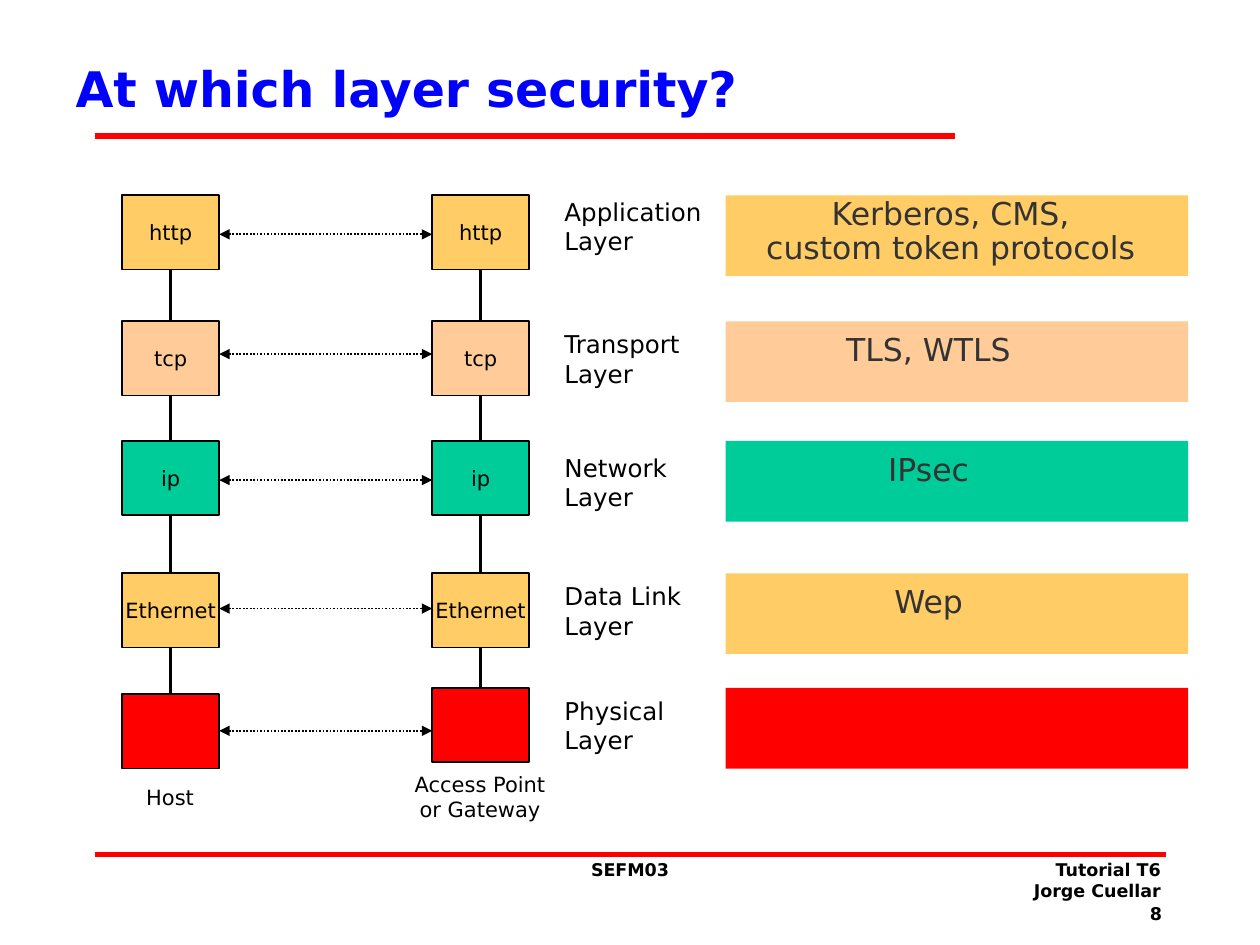
from lxml import etree
from pptx import Presentation
from pptx.dml.color import RGBColor
from pptx.enum import dml, shapes, text
from pptx.oxml import ns
from pptx.util import Inches, Pt

theme = {
    "font": "DejaVu Sans",
    "title": "0000FF", "rule": "FF0000", "ink": "000000", "band ink": "333333",
    "amber": "FFCC66", "peach": "FFCC99", "green": "00CC99", "red": "FF0000",
    "title size": 28, "band size": 18, "label size": 14, "node size": 12, "footer size": 10,
}

deck = Presentation()
deck.slide_width, deck.slide_height = Inches(10), Inches(7.5)
page = deck.slides.add_slide(deck.slide_layouts[5])

# Columns and rows of the diagram, in inches
host_x, gateway_x, label_x, band_x = 0.97, 3.43, 4.44, 5.76
node_width, node_height = 0.77, 0.59
band_width, band_height = 3.67, 0.64
# top, arrow height, colour, protocol, layer, security mechanism
layers = [
    (1.55, 1.86, "amber", "http", "Application", "Kerberos, CMS,\ncustom token protocols"),
    (2.55, 2.81, "peach", "tcp", "Transport", "TLS, WTLS"),
    (3.50, 3.81, "green", "ip", "Network", "IPsec"),
    (4.55, 4.83, "amber", "Ethernet", "Data Link", "Wep"),
    (5.46, 5.80, "red", "", "Physical", ""),
]


def add_box(place, words="", size="node size", ink="ink", fill=None, outline=False,
            align="CENTER", anchor="MIDDLE", margins=(0, 0, 0, 0), bold=False, spacing=None):
    """Add a filled rectangle, or a text box when there is no fill."""
    place = [Inches(length) for length in place]
    if fill:
        box = page.shapes.add_shape(shapes.MSO_SHAPE.RECTANGLE, *place)
        box.shadow.inherit = False
        box.fill.solid()
        box.fill.fore_color.rgb = RGBColor.from_string(theme[fill])
        if outline:
            box.line.color.rgb = RGBColor.from_string(theme["ink"])
            box.line.width = Pt(1)
        else:
            box.line.fill.background()
    else:
        box = page.shapes.add_textbox(*place)
    frame = box.text_frame
    frame.word_wrap = True
    frame.vertical_anchor = text.MSO_ANCHOR[anchor]
    (frame.margin_left, frame.margin_top,
     frame.margin_right, frame.margin_bottom) = [Inches(margin) for margin in margins]
    frame.text = words
    for para in frame.paragraphs:
        para.alignment = text.PP_ALIGN[align]
        if spacing:
            para.line_spacing = spacing
        for span in para.runs:
            span.font.name, span.font.size, span.font.bold = theme["font"], Pt(theme[size]), bold
            span.font.color.rgb = RGBColor.from_string(theme[ink])
    return box


def add_line(start, end, colour, width, dotted_arrow=False):
    """Add a straight line, dotted with two arrowheads if asked."""
    line = page.shapes.add_connector(
        shapes.MSO_CONNECTOR.STRAIGHT, *[Inches(length) for length in (*start, *end)])
    line.line.color.rgb = RGBColor.from_string(theme[colour])
    line.line.width = Pt(width)
    if dotted_arrow:
        line.line.dash_style = dml.MSO_LINE.ROUND_DOT
        for tip in ("a:headEnd", "a:tailEnd"):
            etree.SubElement(line.line._get_or_add_ln(), ns.qn(tip), type="triangle")
    etree.SubElement(line._element.spPr, ns.qn("a:effectLst"))


# Title
title = page.shapes.title
title.left, title.top, title.width, title.height = [Inches(n) for n in (0.5, 0.11, 9, 1.17)]
title.text_frame.text = "At which layer security?"
title.text_frame.vertical_anchor = text.MSO_ANCHOR.MIDDLE
heading = title.text_frame.paragraphs[0]
heading.alignment = text.PP_ALIGN.LEFT
heading.font.name, heading.font.size, heading.font.bold = theme["font"], Pt(theme["title size"]), True
heading.font.color.rgb = RGBColor.from_string(theme["title"])

# Rules and footer
add_line((0.75, 1.08), (7.58, 1.08), "rule", 3)
add_line((0.75, 6.78), (9.25, 6.78), "rule", 3)
for place, words, align in [
    ((3.96, 6.77, 2.08, 0.5), "SEFM03", "CENTER"),
    ((7.23, 6.77, 2.08, 0.5), "Tutorial T6\nJorge Cuellar", "RIGHT"),
    ((8.52, 7.12, 0.8, 0.25), "8", "RIGHT"),
]:
    add_box(place, words, "footer size", align=align, anchor="TOP",
            margins=(0.1, 0.05, 0.1, 0.05), bold=True)

# Vertical link and caption of each protocol stack
for left, caption in [(host_x, "Host"), (gateway_x, "Access Point\nor Gateway")]:
    centre = left + node_width / 2
    add_line((centre, 1.62), (centre, 6.05), "ink", 2)
    add_box((centre - 0.61, 6.06, 1.21, 0.53), caption)

# One row per layer: two nodes, arrow, label, security band
for top, arrow_y, colour, protocol, layer, security in layers:
    host_top = top if protocol else top + 0.05
    for left, node_top in [(host_x, host_top), (gateway_x, top)]:
        add_box((left, node_top, node_width, node_height), protocol, fill=colour, outline=True)
    add_line((host_x + node_width, arrow_y), (gateway_x, arrow_y), "ink", 1, dotted_arrow=True)

    label_top = {"Application": 1.5, "Network": 3.53}.get(layer, top)
    add_box((label_x, label_top, 1.3, node_height), layer + "\nLayer", "label size",
            align="LEFT", margins=(0.04, 0, 0, 0))

    two_lines = "\n" in security
    add_box((band_x, top, band_width, band_height), security, "band size", "band ink", colour,
            margins=(0, 0, 0.1 if two_lines else 0.45, 0.05),
            spacing=0.9 if two_lines else Pt(11))

deck.save("out.pptx")
